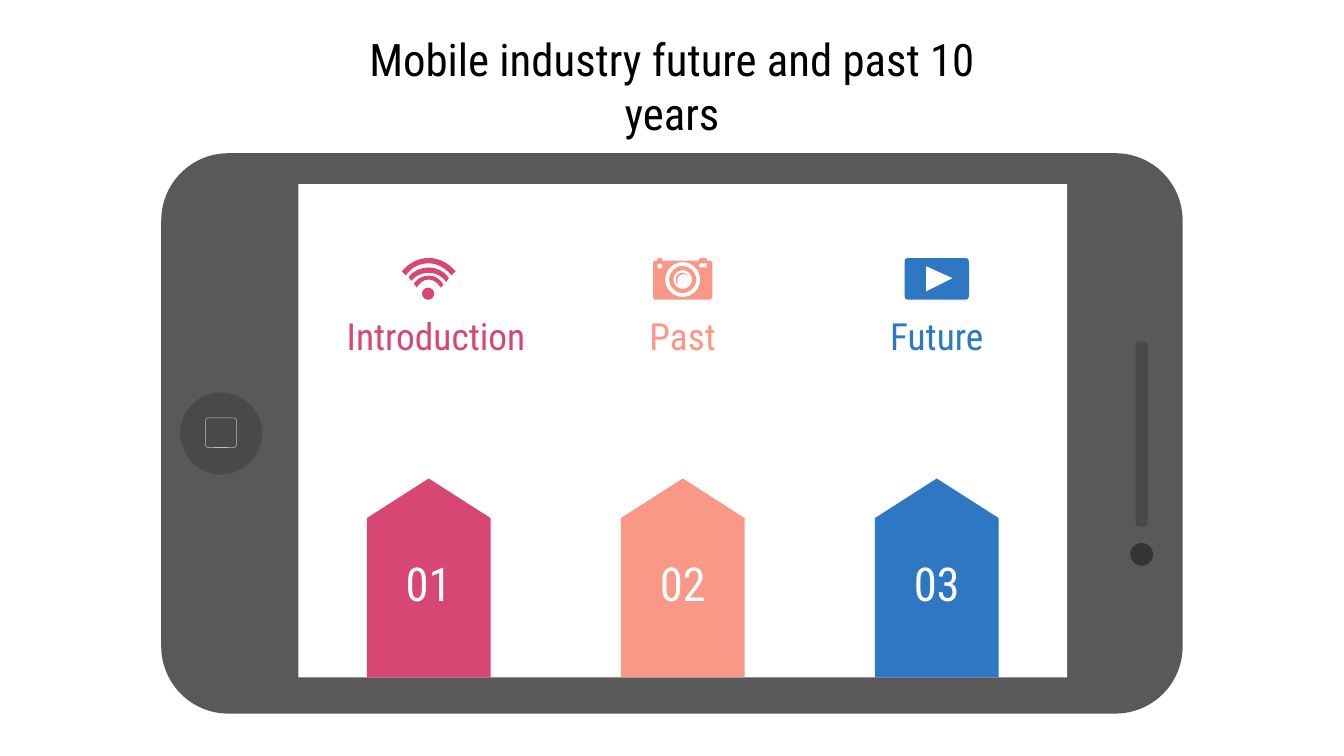
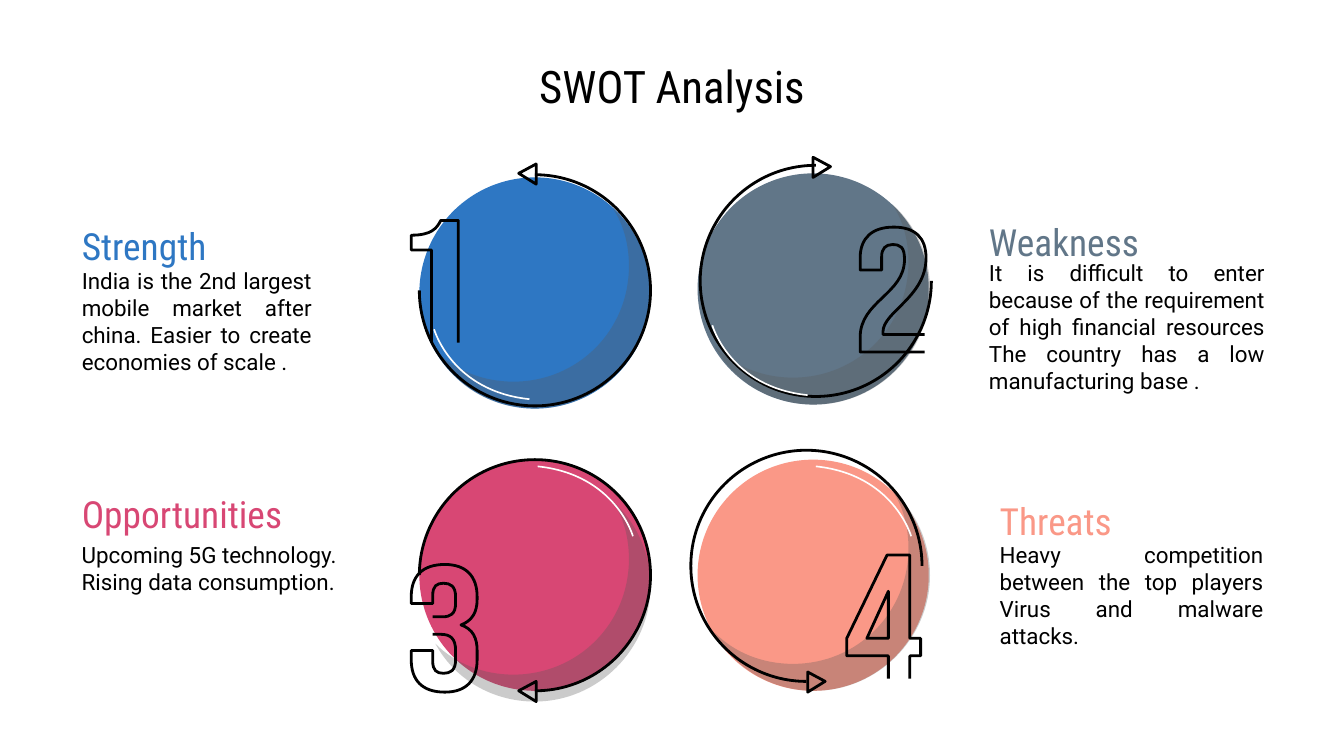
from lxml import etree
from pptx import Presentation
from pptx.dml.color import RGBColor
from pptx.enum.shapes import MSO_SHAPE
from pptx.enum.text import MSO_ANCHOR, MSO_AUTO_SIZE, PP_ALIGN
from pptx.oxml.ns import qn
from pptx.util import Pt

EMU_PER_PX = 9144  # 100 px to the inch

RECT, ROUND_RECT = MSO_SHAPE.RECTANGLE, MSO_SHAPE.ROUNDED_RECTANGLE
OVAL, ARC, HOME_PLATE = MSO_SHAPE.OVAL, MSO_SHAPE.ARC, MSO_SHAPE.PENTAGON
LEFT, CENTER, JUSTIFY = PP_ALIGN.LEFT, PP_ALIGN.CENTER, PP_ALIGN.JUSTIFY
MIDDLE = MSO_ANCHOR.MIDDLE
NO_AUTOFIT = MSO_AUTO_SIZE.NONE

HEAD_FONT, BODY_FONT = "Roboto Condensed", "Roboto"
BLACK, WHITE = "000000", "FFFFFF"
PINK, SALMON, BLUE, SLATE = "D84774", "FA9887", "2E77C3", "617688"
PHONE, BUTTON, LENS, BUTTON_EDGE = "595959", "494949", "353535", "C1BDBD"


def px(length):
    return round(length * EMU_PER_PX)


def rgb(color):
    return RGBColor.from_string(color)


def contours(path):
    """Yield (points, segment kinds, closed) for each contour of an M/L/C/Z path."""
    for contour in path.split("M")[1:]:
        points, kinds, command = [], [], "M"
        tokens = iter(contour.replace("Z", "").split())
        for token in tokens:
            if token in "LC":
                command = token
                continue
            extra = 5 if command == "C" else 1
            coords = [px(float(token))] + [px(float(next(tokens))) for _ in range(extra)]
            points += zip(coords[::2], coords[1::2])
            kinds.append(command)
        yield points, kinds[1:], "Z" in contour


def bend(shape, kinds):
    """Join three lines into one cubic curve wherever the kind is C."""
    path = shape._element.find(".//" + qn("a:path"))
    lines = iter(path.findall(qn("a:lnTo")))
    for kind in kinds:
        segment = next(lines)
        if kind == "C":
            segment.tag = qn("a:cubicBezTo")
            for _ in range(2):
                spare = next(lines)
                segment.append(spare[0])
                path.remove(spare)


def circle_path(x, y, r):
    k = 0.55 * r
    return (f"M {x} {y - r} C {x + k} {y - r} {x + r} {y - k} {x + r} {y} "
            f"{x + r} {y + k} {x + k} {y + r} {x} {y + r} "
            f"{x - k} {y + r} {x - r} {y + k} {x - r} {y} "
            f"{x - r} {y - k} {x - k} {y - r} {x} {y - r} Z ")


def write(shape, content, *, size, color, font=HEAD_FONT, align=CENTER,
          margins=(0, 0, 0, 0)):
    """Fill a shape's text frame; margins run left, top, right, bottom."""
    frame = shape.text_frame
    frame.word_wrap = True
    frame.auto_size = NO_AUTOFIT
    frame.vertical_anchor = MIDDLE
    (frame.margin_left, frame.margin_top,
     frame.margin_right, frame.margin_bottom) = map(px, margins)
    paragraph = frame.paragraphs[0]
    paragraph.alignment = align
    run = paragraph.add_run()
    run.text = content
    run.font.size = Pt(size)
    run.font.name = font
    run.font.color.rgb = rgb(color)


class Deck:
    def __init__(self):
        self.prs = Presentation()
        self.prs.slide_width, self.prs.slide_height = px(1000), px(562.5)
        self.slide = None

    def new_slide(self, title):
        self.slide = self.prs.slides.add_slide(self.prs.slide_layouts[5])
        heading = self.slide.shapes.title
        heading.left, heading.top, heading.width, heading.height = map(
            px, (232, 42, 536, 43))
        write(heading, title, size=24, color=BLACK, margins=(10, 10, 10, 10))

    def paint(self, shape, fill, line, weight, alpha=None):
        shape.shadow.inherit = False
        if fill:
            shape.fill.solid()
            shape.fill.fore_color.rgb = rgb(fill)
            if alpha:
                tint = shape._element.spPr.find(qn("a:solidFill"))[0]
                etree.SubElement(tint, qn("a:alpha")).set("val", str(alpha * 1000))
        else:
            shape.fill.background()
        if line:
            shape.line.color.rgb = rgb(line)
            shape.line.width = Pt(weight)
        else:
            shape.line.fill.background()

    def shape(self, kind, box, *, fill=None, line=None, weight=1.5,
              adjust=(), rotation=0):
        shape = self.slide.shapes.add_shape(kind, *map(px, box))
        for index, value in enumerate(adjust):
            shape.adjustments[index] = value
        shape.rotation = rotation
        self.paint(shape, fill, line, weight)

    def outline(self, path, left=0, top=0, *, fill=None, line=None, weight=1.5,
                alpha=None):
        """Draw a path whose coordinates count from left, top."""
        builder, all_kinds = None, []
        for (start, *rest), kinds, closed in contours(path):
            if builder is None:
                builder = self.slide.shapes.build_freeform(*start)
            else:
                builder.move_to(*start)
            builder.add_line_segments(rest, close=closed)
            all_kinds += kinds
        shape = builder.convert_to_shape(px(left), px(top))
        bend(shape, all_kinds)
        self.paint(shape, fill, line, weight, alpha)

    def arc(self, box, start, end):
        """Draw a clockwise arc between two angles in degrees."""
        self.shape(ARC, box, line=BLACK, adjust=(start * 0.6, end * 0.6))

    def text(self, content, box, **style):
        write(self.slide.shapes.add_textbox(*map(px, box)), content, **style)


WIFI_PARTS = (
    circle_path(318.5, 218.5, 4.5),
    "M 319 205 C 314 205 310 208 308 211 L 310 214 C 312 211 315 208 319 208 "
    "323 208 326 211 328 214 L 330 212 C 328 208 324 205 319 205 Z",
    "M 319 199 C 313 199 307 202 304 206 L 306 209 C 309 205 314 203 319 203 "
    "324 203 329 205 332 210 L 334 207 C 331 202 325 199 319 199 Z",
    "M 319 192 C 311 192 304 196 299 202 L 302 205 C 306 199 312 196 319 196 "
    "326 196 332 200 336 205 L 339 202 C 334 196 327 192 319 192 Z",
)
CAMERA_PARTS = (
    "M 529 194 L 526 194 526 193 525 192 521 192 520 193 520 194 493 194 493 193 "
    "492 192 490 192 489 193 489 194 487 194 486 195 486 221 487 223 529 223 "
    "530 221 530 195 Z M 526 196 L 521 196 520 197 520 198 521 199 526 199 Z "
    + circle_path(491, 198, 2)
    + "".join(circle_path(508, 208, r) for r in (13, 10, 7))
    + "M 508 203 C 510 203 511 204 512 205 511 204 510 204 509 204 "
    "506 204 504 206 504 209 504 210 504 211 504 212 503 211 503 210 503 208 "
    "503 205 505 203 508 203 Z",
)
PLAY_PARTS = (
    "M 675 223 C 674 223 673 222 673 220 L 673 195 C 673 193 674 192 675 192 "
    "L 719 192 C 720 192 721 193 721 195 L 721 220 C 721 222 720 223 719 223 Z "
    "M 689 198 L 709 207 689 217 Z",
)
# label, label left, label width, colour, icon
CHAPTERS = (
    ("Introduction", 257, 135, PINK, WIFI_PARTS),
    ("Past", 446, 124, SALMON, CAMERA_PARTS),
    ("Future", 635, 124, BLUE, PLAY_PARTS),
)


def chapters_slide(deck):
    deck.new_slide("Mobile industry future and past 10 years")
    deck.shape(ROUND_RECT, (120, 114, 760, 417), fill=PHONE, adjust=(0.12,))
    deck.shape(ROUND_RECT, (845, 254, 9, 138), fill=BUTTON, adjust=(0.33,))
    deck.shape(OVAL, (841, 404, 17, 17), fill=LENS)
    deck.shape(OVAL, (134, 292, 61, 61), fill=BUTTON)
    deck.shape(ROUND_RECT, (153, 311, 23, 22), line=BUTTON_EDGE, weight=0.28,
               adjust=(0.09,))
    deck.shape(RECT, (222, 137, 572, 367), fill=WHITE)

    tab_width, tab_height, tab_top, pitch = 92, 148, 356, 189
    inset = (tab_height - tab_width) // 2
    for *_, color, icon in CHAPTERS:
        for part in icon:
            deck.outline(part, fill=color)
    for index, (label, left, width, color, _) in enumerate(CHAPTERS):
        tab_left = 273 + index * pitch
        deck.text(label, (left, 237, width, 25), size=20, color=color)
        deck.shape(HOME_PLATE, (tab_left - inset, tab_top + inset, tab_height, tab_width),
                   fill=color, adjust=(0.32,), rotation=270)
        deck.text(f"{index + 1:02}", (tab_left, 421, tab_width, 25),
                  size=25, color=WHITE)


DISC = 172
SHADE = ("M 132 0 C 140 12 144 27 144 43 144 91 106 129 58 129 36 129 15 121 0 106 "
         "14 132 42 149 74 149 121 149 160 110 160 63 160 38 149 15 132 0 Z")
LOW_GLINT = ("M 0 0 C 0 0 13 46 71 52", 11, 113)
HIGH_GLINT = ("M 71 52 C 71 52 58 6 0 0", 88, 5)
RIGHT_ARROW = "M 0 0 L 13 7 0 15 Z"
LEFT_ARROW = "M 13 0 L 0 7 13 15 Z"

ONE = "M 321 255 L 321 186 306 186 306 175 C 321 175 325 170 328 164 L 341 164 341 255"
TWO = ("M 688 262 L 640 262 640 251 C 640 224 673 219 673 193 673 184 670 182 664 182 "
       "659 182 656 185 656 191 L 656 201 640 201 640 192 C 640 177 649 169 665 169 "
       "681 169 689 177 689 192 689 221 657 232 657 247 657 248 657 248 657 249 "
       "L 688 249")
THREE = ("M 322 459 L 329 459 C 335 459 339 457 339 449 L 339 444 "
         "C 339 436 335 434 330 434 325 434 322 436 322 443 L 322 449 306 449 306 444 "
         "C 306 429 314 420 331 420 347 420 355 429 355 444 L 355 446 "
         "C 355 456 351 462 343 465 352 468 355 475 355 484 L 355 491 "
         "C 355 506 347 515 331 515 314 515 306 506 306 491 L 306 484 322 484 322 492 "
         "C 322 499 325 501 330 501 335 501 339 499 339 491 L 339 484 "
         "C 339 475 335 472 328 472 L 322 472")
FOUR = ("M 661 505 L 661 488 630 488 630 475 660 413 677 413 677 475 685 475 685 488 "
        "677 488 677 505 M 661 475 L 661 440 645 475 Z")

# Each ring is (left, top, start, end); heading and body are (left, top, width).
QUADRANTS = (
    dict(name="Weakness", color=SLATE, disc=(519, 129), shade=(13, 23),
         ring=(521, 123, 0, 270), arrow=(RIGHT_ARROW, 605, 117),
         digit=TWO, glint=LOW_GLINT, heading=(726, 163, 225), body=(726, 211, 225),
         align=JUSTIFY,
         detail="It is difficult to enter because of the requirement of high "
                "financial resources The country has a low manufacturing base ."),
    dict(name="Strength", color=BLUE, disc=(312, 132), shade=(12, 23),
         ring=(312, 130, 270, 180), arrow=(LEFT_ARROW, 386, 122),
         digit=ONE, glint=LOW_GLINT, heading=(51, 166, 191), body=(51, 207, 191),
         align=JUSTIFY,
         detail="India is the 2nd largest mobile market after china. Easier to "
                "create economies of scale ."),
    dict(name="Threats", color=SALMON, disc=(519, 342), shade=(13, 23),
         ring=(514, 335, 90, 0), arrow=(RIGHT_ARROW, 601, 500),
         digit=FOUR, glint=HIGH_GLINT, heading=(734, 370, 216), body=(734, 411, 216),
         align=JUSTIFY,
         detail="Heavy competition between the top players Virus and malware attacks."),
    dict(name="Opportunities", color=PINK, disc=(312, 342), shade=(12, 31),
         ring=(312, 342, 180, 90), arrow=(LEFT_ARROW, 386, 507),
         digit=THREE, glint=HIGH_GLINT, heading=(51, 365, 191), body=(51, 391, 213),
         align=LEFT,
         detail="Upcoming 5G technology. Rising data consumption."),
)


def swot_slide(deck):
    deck.new_slide("SWOT Analysis")
    for part in QUADRANTS:
        left, top = part["disc"]
        shade_dx, shade_dy = part["shade"]
        ring_left, ring_top, start, end = part["ring"]
        glint, glint_dx, glint_dy = part["glint"]
        deck.shape(OVAL, (left, top, DISC, DISC), fill=part["color"])
        deck.outline(SHADE, left + shade_dx, top + shade_dy, fill=PHONE, alpha=31)
        deck.arc((ring_left, ring_top, DISC, DISC), start, end)
        deck.outline(*part["arrow"], line=BLACK)
        deck.outline(part["digit"], line=BLACK)
        deck.outline(glint, left + glint_dx, top + glint_dy, line=WHITE, weight=0.89)
        deck.text(part["detail"], (*part["body"], 74), size=12, color=BLACK,
                  font=BODY_FONT, align=part["align"], margins=(10, 0, 10, 10))
        deck.text(part["name"], (*part["heading"], 34), size=20, color=part["color"],
                  align=LEFT, margins=(10, 10, 10, 10))


def main():
    deck = Deck()
    chapters_slide(deck)
    swot_slide(deck)
    deck.prs.save("out.pptx")


if __name__ == "__main__":
    main()
